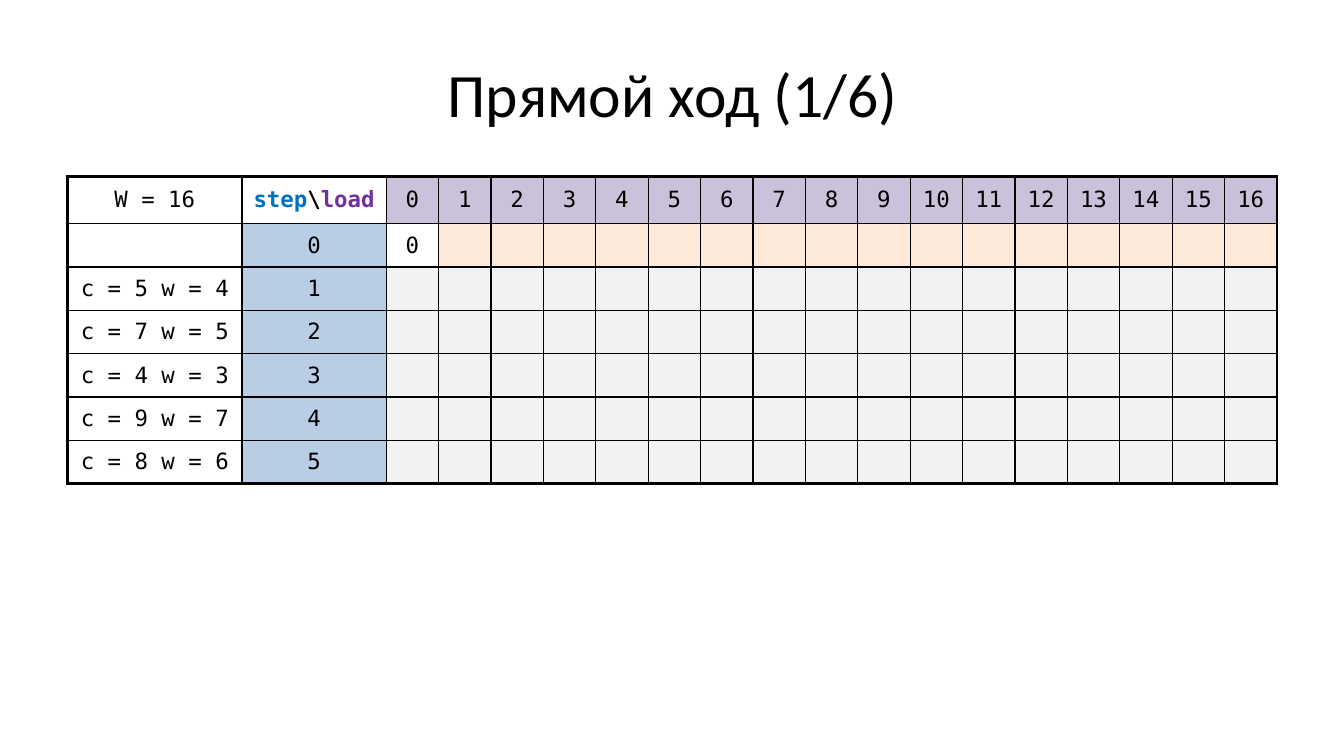
"""Builds the knapsack forward-pass slide with its empty step/load table."""
from lxml.etree import SubElement
from pptx import Presentation
from pptx.dml.color import RGBColor
from pptx.enum.text import MSO_ANCHOR as Anchor, PP_ALIGN as Align
from pptx.oxml.ns import qn
from pptx.util import Inches, Pt

BLACK = RGBColor(0x00, 0x00, 0x00)
BLUE = RGBColor(0x00, 0x70, 0xC0)
PURPLE = RGBColor(0x70, 0x30, 0xA0)
LOAD_FILL = RGBColor(0xCC, 0xC1, 0xDA)
STEP_FILL = RGBColor(0xB9, 0xCD, 0xE5)
START_FILL = RGBColor(0xFD, 0xEA, 0xDA)
EMPTY_FILL = RGBColor(0xF2, 0xF2, 0xF2)

CAPACITY = 16
ITEMS = [(5, 4), (7, 5), (4, 3), (9, 7), (8, 6)]
THIN, THICK = 1, 2.25


def add_text(p, text, font="DejaVu Sans Mono", size=16, color=BLACK, bold=False):
    """Add a formatted run to a centred paragraph."""
    p.alignment = Align.CENTER
    r = p.add_run()
    r.text = text
    r.font.name = font
    r.font.size = Pt(size)
    r.font.bold = bold
    r.font.color.rgb = color


def set_borders(cell, **widths):
    """Draw solid black cell borders, widths given in points by side."""
    tc_pr = cell._tc.get_or_add_tcPr()
    for side in "LRTB":
        ln = SubElement(tc_pr, qn(f"a:ln{side}"), w=str(Pt(widths[side])))
        fill = SubElement(ln, qn("a:solidFill"))
        SubElement(fill, qn("a:srgbClr"), val=str(BLACK))


def cell_fill(row, col):
    """Return the fill colour of a cell, or None for a clear one."""
    if col == 0 or (row, col) in ((0, 1), (1, 2)):
        return None
    if row == 0:
        return LOAD_FILL
    if col == 1:
        return STEP_FILL
    return START_FILL if row == 1 else EMPTY_FILL


def cell_text(row, col):
    """Return the plain text of a cell."""
    if row == 0 and col > 1:
        return str(col - 2)
    if row > 0 and col == 1:
        return str(row - 1)
    if row > 1 and col == 0:
        cost, weight = ITEMS[row - 2]
        return f"c = {cost} w = {weight}"
    return {(0, 0): f"W = {CAPACITY}", (1, 2): "0"}.get((row, col), "")


def format_cell(cell, row, col, last_row, last_col):
    """Set borders, fill and text of one cell."""
    set_borders(
        cell,
        L=THICK if col == 0 else THIN,
        R=THICK if col == last_col else THIN,
        T=THICK if row == 0 else THIN,
        B=THICK if row == last_row else THIN,
    )
    color = cell_fill(row, col)
    if color is None:
        cell.fill.background()
    else:
        cell.fill.solid()
        cell.fill.fore_color.rgb = color
    cell.vertical_anchor = Anchor.MIDDLE
    text = cell_text(row, col)
    if text:
        add_text(cell.text_frame.paragraphs[0], text)


def add_load_table(s):
    """Add the table of steps against loads."""
    widths = [1.73, 1.43] + [0.52] * (CAPACITY + 1)
    heights = [0.47] + [0.43] * (len(ITEMS) + 1)
    table = s.shapes.add_table(
        len(heights), len(widths), Inches(0.67), Inches(1.75),
        Inches(sum(widths)), Inches(sum(heights)),
    ).table
    table.first_row = table.horz_banding = False
    for column, width in zip(table.columns, widths):
        column.width = Inches(width)
    for row, height in enumerate(heights):
        table.rows[row].height = Inches(height)
        for col in range(len(widths)):
            format_cell(table.cell(row, col), row, col,
                        len(heights) - 1, len(widths) - 1)
    p = table.cell(0, 1).text_frame.paragraphs[0]
    for text, color in (("step", BLUE), ("\\", BLACK), ("load", PURPLE)):
        add_text(p, text, color=color, bold=True)


def add_title(s, text):
    """Place and fill the title placeholder."""
    sp = s.shapes.title
    sp.left, sp.top = Inches(0.67), Inches(0.3)
    sp.width, sp.height = Inches(12), Inches(1.25)
    tf = sp.text_frame
    tf.vertical_anchor = Anchor.MIDDLE
    add_text(tf.paragraphs[0], text, font="Calibri", size=44)


def main():
    """Build and save the presentation."""
    prs = Presentation()
    prs.slide_width, prs.slide_height = Inches(13.33), Inches(7.5)
    s = prs.slides.add_slide(prs.slide_layouts[5])
    add_title(s, "Прямой ход (1/6)")
    add_load_table(s)
    prs.save("out.pptx")


if __name__ == "__main__":
    main()
